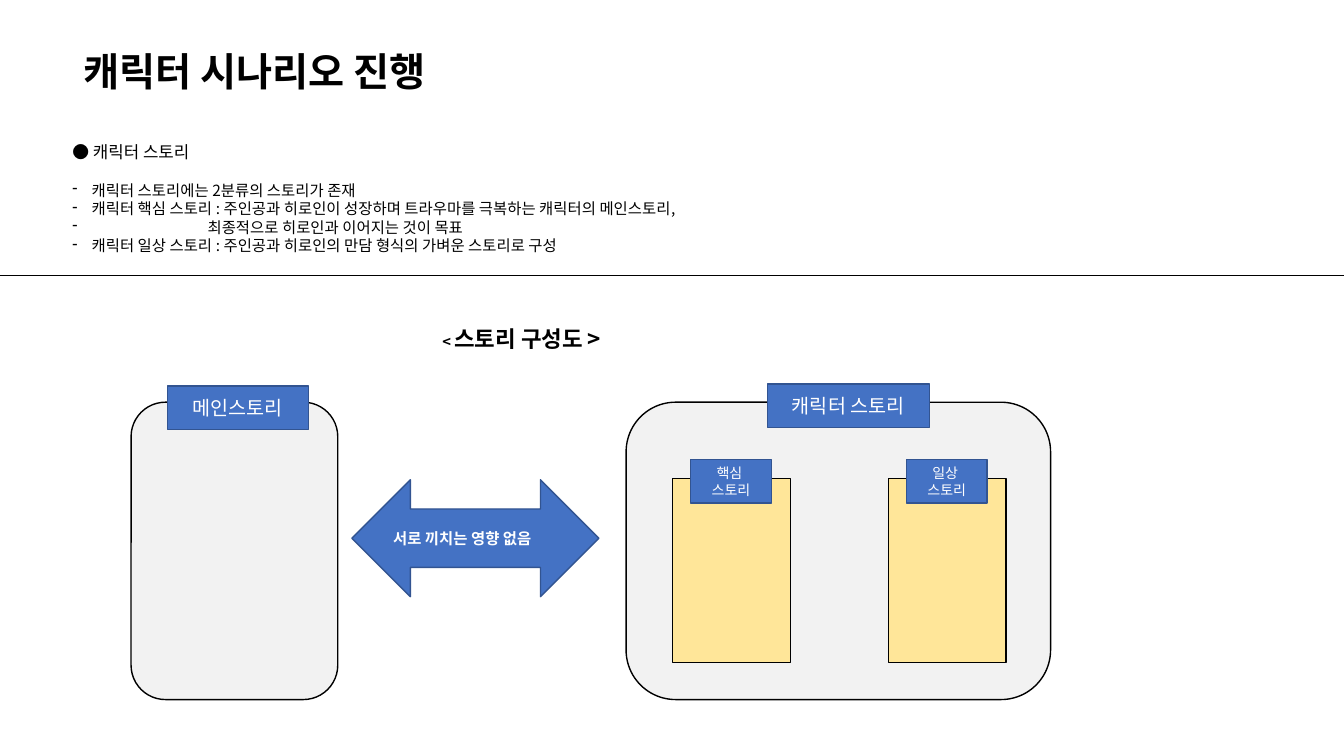
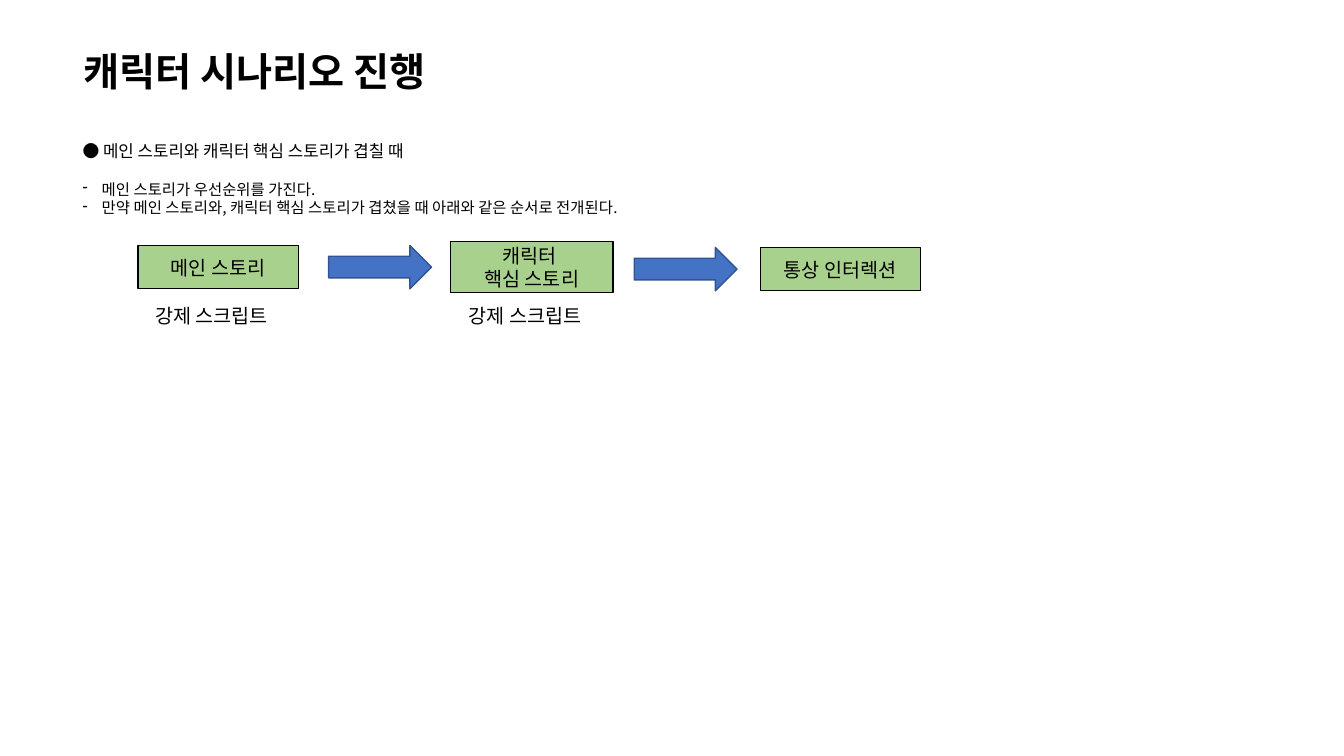
from pptx import Presentation
from pptx.dml.color import RGBColor
from pptx.enum.shapes import MSO_CONNECTOR, MSO_SHAPE
from pptx.enum.text import MSO_ANCHOR, PP_ALIGN
from pptx.oxml.ns import qn
from pptx.util import Emu, Pt
from lxml import etree

RECTANGLE = MSO_SHAPE.RECTANGLE
ROUNDED = MSO_SHAPE.ROUNDED_RECTANGLE
RIGHT_ARROW = MSO_SHAPE.RIGHT_ARROW
DOUBLE_ARROW = MSO_SHAPE.LEFT_RIGHT_ARROW
STRAIGHT = MSO_CONNECTOR.STRAIGHT
LEFT, CENTER = PP_ALIGN.LEFT, PP_ALIGN.CENTER
TOP, MIDDLE = MSO_ANCHOR.TOP, MSO_ANCHOR.MIDDLE

EMU_PER_PX = 9144
SLIDE_WIDTH, SLIDE_HEIGHT = 1333, 750
LINE_HEIGHT = 1.21
BODY_FONT, TITLE_FONT = "Noto Sans CJK KR", "Arial"
BLACK, WHITE = "000000", "FFFFFF"
BLUE, BLUE_EDGE = "4472C4", "325491"
GRAY, YELLOW, GREEN = "F2F2F2", "FFE699", "A9D18E"
BULLET_INDENT = 19
TITLE = "캐릭터 시나리오 진행"


def px(length):
    """Turn a length in px into EMU."""
    return Emu(round(length * EMU_PER_PX))


def color(value):
    """Turn a hex string into a colour."""
    return RGBColor.from_string(value)


def write(paragraph, text, size=14, bold=False, ink=BLACK, font=BODY_FONT,
          align=LEFT, line_size=None):
    """Add a formatted run to a paragraph."""
    run = paragraph.add_run()
    run.text = text
    run.font.size = Pt(size)
    run.font.bold = bold
    run.font.name = font
    run.font.color.rgb = color(ink)
    east_asian = etree.SubElement(run.font._element, qn("a:ea"))
    east_asian.set("typeface", BODY_FONT)
    paragraph.alignment = align
    paragraph.line_spacing = Pt((line_size or size) * LINE_HEIGHT)


def write_lines(frame, lines, **style):
    """Fill a text frame with one paragraph for each line."""
    for index, line in enumerate(lines):
        paragraph = frame.add_paragraph() if index else frame.paragraphs[0]
        write(paragraph, line, **style)


def add_text_box(slide, left, top, width, height, *lines, **style):
    """Add a wrapping text box and return its frame."""
    box = slide.shapes.add_textbox(px(left), px(top), px(width), px(height))
    frame = box.text_frame
    frame.word_wrap = True
    frame.vertical_anchor = TOP
    write_lines(frame, lines, **style)
    return frame


def add_block(slide, kind, left, top, width, height, fill, edge, *lines, **style):
    """Add a filled shape with centred lines of text."""
    shape = slide.shapes.add_shape(kind, px(left), px(top), px(width), px(height))
    shape.shadow.inherit = False
    shape.fill.solid()
    shape.fill.fore_color.rgb = color(fill)
    shape.line.color.rgb = color(edge)
    shape.line.width = Pt(1)
    shape.text_frame.word_wrap = True
    shape.text_frame.vertical_anchor = MIDDLE
    write_lines(shape.text_frame, lines, align=CENTER, **style)


def add_divider(slide, top):
    """Draw a thin line across the slide."""
    line = slide.shapes.add_connector(STRAIGHT, 0, px(top), px(SLIDE_WIDTH), px(top))
    line.line.color.rgb = color(BLACK)
    line.line.width = Pt(0.5)
    etree.SubElement(line._element.spPr, qn("a:effectLst"))


def add_titled_slide(presentation):
    """Add a blank slide with the shared title."""
    slide = presentation.slides.add_slide(presentation.slide_layouts[6])
    add_text_box(slide, 73, 42, 691, 57, TITLE, size=28, bold=True, font=TITLE_FONT)
    return slide


def add_bullet_list(slide, left, top, width, height, heading, bullets):
    """Add a heading and dash bullets given as (text, indent) pairs."""
    frame = add_text_box(slide, left, top, width, height, heading, size=12)
    frame.paragraphs[0].space_after = Pt(13)
    for text, indent in bullets:
        paragraph = frame.add_paragraph()
        properties = paragraph._p.get_or_add_pPr()
        properties.set("marL", str(px(indent)))
        properties.set("indent", str(-px(indent)))
        etree.SubElement(properties, qn("a:buChar")).set("char", "-")
        write(paragraph, text, size=11)


def add_panel(slide, kind, left, top, width, height, fill, badge, *lines, size=14):
    """Add a panel with a badge, (left, width, rise) from its top left corner."""
    badge_left, badge_width, rise = badge
    add_block(slide, kind, left, top, width, height, fill, BLACK)
    add_block(slide, RECTANGLE, left + badge_left, top - rise, badge_width, 43,
              BLUE, BLUE_EDGE, *lines, size=size, ink=WHITE)


def add_story_map(slide, left, top):
    """Draw the main story beside the character story and its two parts."""
    add_panel(slide, ROUNDED, left, top, 205, 295, GRAY, (36, 140, 16), "메인스토리")
    add_panel(slide, ROUNDED, left + 491, top, 421, 295, GRAY, (140, 161, 18),
              "캐릭터 스토리")
    for index, name in enumerate(("핵심 ", "일상 ")):
        add_panel(slide, RECTANGLE, left + 537 + 214 * index, top + 76, 117, 182,
                  YELLOW, (18, 80, 19), name, "스토리", size=10)
    add_block(slide, DOUBLE_ARROW, left + 219, top + 77, 245, 116, BLUE, BLUE_EDGE)
    add_text_box(slide, left + 250, top + 121, 179, 29, "서로 끼치는 영향 없음",
                 size=11, bold=True, ink=WHITE)


def add_story_flow(slide, left, middle):
    """Draw the steps in order, with arrows between and notes below."""
    script_note = "강제 스크립트"
    steps = (
        (0, 159, 43, 0, ("메인 스토리",), script_note),
        (310, 161, 51, 0, ("캐릭터 ", "핵심 스토리"), script_note),
        (617, 159, 43, 2, ("통상 인터렉션",), None),
    )
    for offset, width, height, drop, lines, note in steps:
        step_left = left + offset
        add_block(slide, RECTANGLE, step_left, middle + drop - height / 2, width, height,
                  GREEN, BLACK, *lines)
        if note:
            add_text_box(slide, step_left + (width - 145) / 2, middle + 31, 145, 34, note)
    for offset, drop in ((189, 0), (492, 2)):
        add_block(slide, RIGHT_ARROW, left + offset, middle + drop - 43 / 2, 102, 43,
                  BLUE, BLUE_EDGE)


def build_structure_slide(presentation):
    """Build the slide on the kinds of character story."""
    slide = add_titled_slide(presentation)
    add_bullet_list(slide, 62, 136, 682, 123, "● 캐릭터 스토리", (
        ("캐릭터 스토리에는 2분류의 스토리가 존재", BULLET_INDENT),
        ("캐릭터 핵심 스토리 : 주인공과 히로인이 성장하며 트라우마를 극복하는 캐릭터의 메인스토리,",
         BULLET_INDENT),
        ("최종적으로 히로인과 이어지는 것이 목표", 134),
        ("캐릭터 일상 스토리 : 주인공과 히로인의 만담 형식의 가벼운 스토리로 구성", BULLET_INDENT),
    ))
    add_divider(slide, 273)
    caption = add_text_box(slide, 429, 317, 205, 37, "< ", size=10.5, bold=True)
    write(caption.paragraphs[0], "스토리 구성도 >", size=16, bold=True)
    add_story_map(slide, 130, 399)


def build_priority_slide(presentation):
    """Build the slide on overlapping stories."""
    slide = add_titled_slide(presentation)
    add_bullet_list(slide, 72, 135, 682, 86, "● 메인 스토리와 캐릭터 핵심 스토리가 겹칠 때", (
        ("메인 스토리가 우선순위를 가진다.", BULLET_INDENT),
        ("만약 메인 스토리와, 캐릭터 핵심 스토리가 겹쳤을 때 아래와 같은 순서로 전개된다.",
         BULLET_INDENT),
    ))
    add_story_flow(slide, 137, 265)


def main():
    """Build and save the presentation."""
    presentation = Presentation()
    presentation.slide_width = px(SLIDE_WIDTH)
    presentation.slide_height = px(SLIDE_HEIGHT)
    build_structure_slide(presentation)
    build_priority_slide(presentation)
    presentation.save("out.pptx")


if __name__ == "__main__":
    main()
